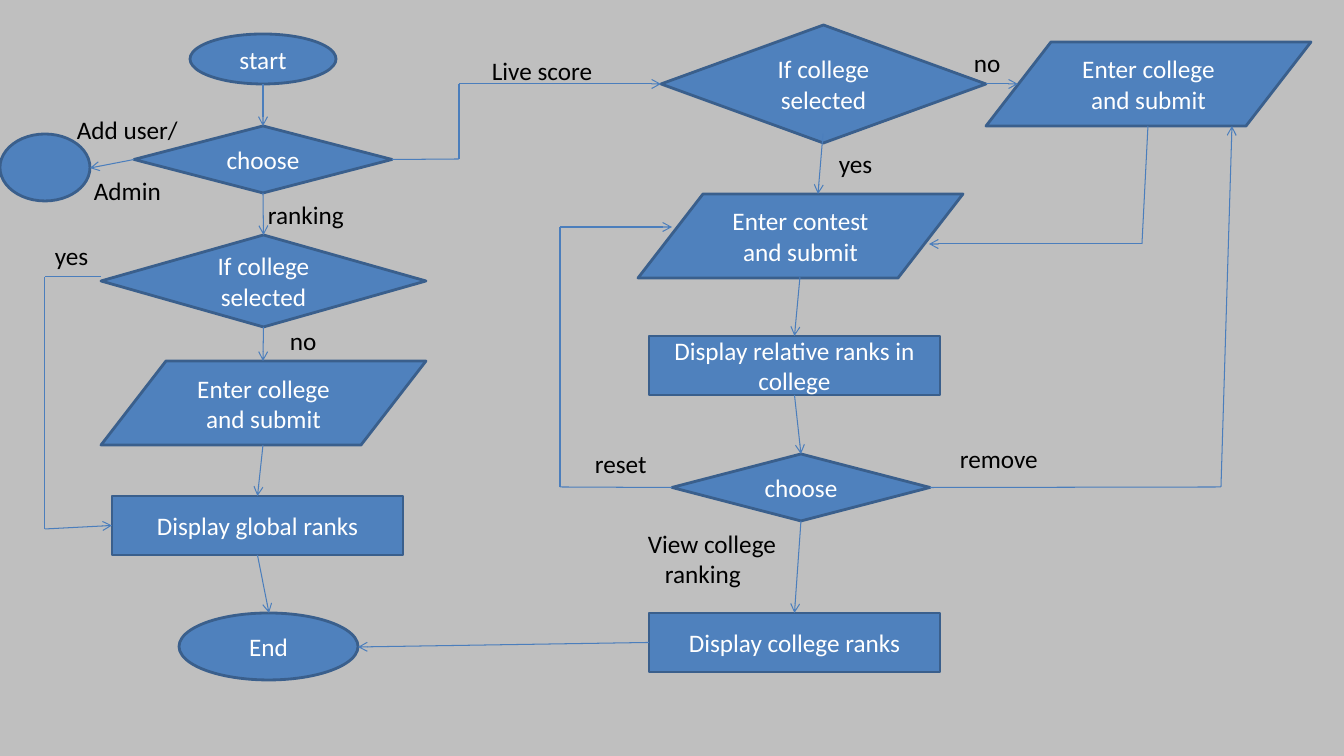
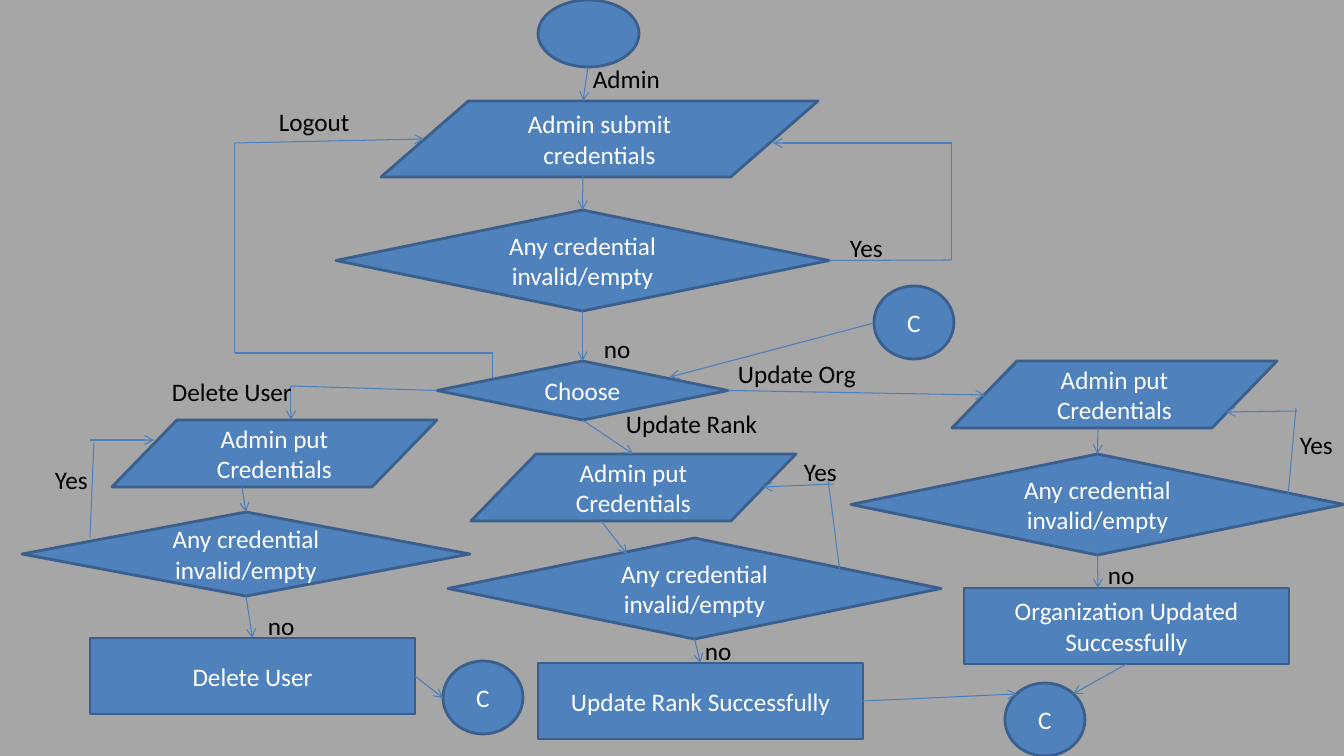
import lxml.etree
import pptx
import pptx.dml.color
import pptx.enum.shapes
import pptx.enum.text
import pptx.oxml.ns
import pptx.util

WIDE, HIGH = 1344, 756
SCALE = 12192000 / WIDE  # EMU in one px

RGB = pptx.dml.color.RGBColor
BLUE = RGB(0x4F, 0x81, 0xBD)
EDGE = RGB(0x3A, 0x5F, 0x8C)
WIRE = RGB(0x4B, 0x7E, 0xBC)
WHITE = RGB(0xFF, 0xFF, 0xFF)
BLACK = RGB(0x00, 0x00, 0x00)
PALE = RGB(0xBF, 0xBF, 0xBF)
GREY = RGB(0xA6, 0xA6, 0xA6)

KIND = pptx.enum.shapes.MSO_SHAPE
OVAL, RECT = KIND.OVAL, KIND.RECTANGLE
ASK, ENTER = KIND.FLOWCHART_DECISION, KIND.FLOWCHART_DATA
TOP, LEFT, BOTTOM, RIGHT = range(4)

FONT = {"name": "Calibri", "size": pptx.util.Pt(18)}
NODE = {"word_wrap": True,
        "vertical_anchor": pptx.enum.text.MSO_ANCHOR.MIDDLE}
LABEL = {"word_wrap": True, "margin_right": 0,
         "auto_size": pptx.enum.text.MSO_AUTO_SIZE.SHAPE_TO_FIT_TEXT}
INDENT = 17


def px(value):
    return pptx.util.Emu(round(value * SCALE))


def style(item, values):
    for name, value in values.items():
        setattr(item, name, value)


def write(part, text, color, align):
    part.text = text
    part.alignment = align
    style(part.runs[0].font, FONT)
    part.runs[0].font.color.rgb = color


def draw_node(slide, box, kind, text, x, y, wide, high):
    node = slide.shapes.add_shape(
        kind, px(box[0] + x), px(box[1] + y), px(wide), px(high))
    node.shadow.inherit = False
    node.fill.solid()
    node.fill.fore_color.rgb = BLUE
    node.line.color.rgb = EDGE
    node.line.width = pptx.util.Pt(2)
    if text:
        style(node.text_frame, NODE)
        write(node.text_frame.paragraphs[0], text, WHITE,
              pptx.enum.text.PP_ALIGN.CENTER)
    return node


def draw_line(slide, box, nodes, start, end, head):
    """Each end is a point in the box, or a node's name and side."""
    ends = [(0, 0) if isinstance(p[0], str)
            else (px(box[0] + p[0]), px(box[1] + p[1])) for p in (start, end)]
    line = slide.shapes.add_connector(
        pptx.enum.shapes.MSO_CONNECTOR.STRAIGHT, *ends[0], *ends[1])
    for spot, join in ((start, line.begin_connect), (end, line.end_connect)):
        if isinstance(spot[0], str):
            join(nodes[spot[0]], spot[1])
    line.line.color.rgb = WIRE
    line.line.width = pptx.util.Pt(0.75)
    props = line.element.spPr
    qn = pptx.oxml.ns.qn
    if head:
        lxml.etree.SubElement(
            props.find(qn("a:ln")), qn("a:tailEnd"), type="arrow")
    lxml.etree.SubElement(props, qn("a:effectLst"))


def draw_wire(slide, box, nodes, spots, head=True):
    last = len(spots) - 2
    for i, (start, end) in enumerate(zip(spots, spots[1:])):
        draw_line(slide, box, nodes, start, end, head and i == last)


def draw_label(slide, box, text, x, y, wide=90, gap=0):
    """Further lines of the text are indented, with a gap in points."""
    lines = text.split("\n")
    label = slide.shapes.add_textbox(
        px(box[0] + x), px(box[1] + y), px(wide), px(40))
    frame = label.text_frame
    style(frame, LABEL)
    for i, words in enumerate(lines):
        part = frame.add_paragraph() if i else frame.paragraphs[0]
        write(part, words, BLACK, pptx.enum.text.PP_ALIGN.LEFT)
        if i:
            part.space_before = pptx.util.Pt(gap)
            part._p.get_or_add_pPr().set("marL", str(px(INDENT)))


def draw_flow(slide, box, nodes, wires, labels, plain=(), known=None):
    made = dict(known or {})
    for name, values in nodes.items():
        made[name] = draw_node(slide, box, *values)
    for spots in wires:
        draw_wire(slide, box, made, spots)
    for spots in plain:
        draw_wire(slide, box, made, spots, head=False)
    for values in labels:
        draw_label(slide, box, *values)
    return made


# Global ranking column
def rank_flow(slide, box):
    return draw_flow(slide, box, {
        "start": (OVAL, "start", 190, 34, 146, 50),
        "admin": (OVAL, "", 0, 134, 90, 67),
        "choose": (ASK, "choose", 134, 126, 258, 67),
        "select": (ASK, "If college selected", 101, 235, 325, 92),
        "enter": (ENTER, "Enter college and submit", 101, 361, 325, 84),
        "ranks": (RECT, "Display global ranks", 112, 496, 291, 59),
        "end": (OVAL, "End", 179, 613, 179, 67),
    }, [
        [(263, 84), ("choose", TOP)],
        [("choose", LEFT), (90, 168)],
        [("choose", BOTTOM), ("select", TOP)],
        [("select", BOTTOM), (263, 361)],
        [(263, 445), ("ranks", TOP)],
        [("ranks", BOTTOM), (269, 613)],
        [(101, 277), (45, 277), (45, 529), ("ranks", LEFT)],
    ], [
        ("Add user/\nAdmin", 67, 109, 179, 22),
        ("ranking", 258, 194, 168),
        ("yes", 45, 235),
        ("no", 280, 320),
    ])


# Live score column
def score_flow(slide, box):
    return draw_flow(slide, box, {
        "select": (ASK, "If college selected", 101, 25, 325, 118),
        "enter": (ENTER, "Enter college and submit", 426, 42, 325, 84),
        "contest": (ENTER, "Enter contest and submit", 78, 194, 325, 84),
        "local": (RECT, "Display relative ranks in college",
                  89, 336, 291, 59),
        "choose": (ASK, "choose", 112, 454, 258, 67),
        "ranks": (RECT, "Display college ranks", 89, 613, 291, 59),
    }, [
        [("select", RIGHT), (458, 84)],
        [(263, 134), (258, 194)],
        [(588, 126), (582, 244), (369, 244)],
        [(240, 277), ("local", TOP)],
        [("local", BOTTOM), ("choose", TOP)],
        [("choose", BOTTOM), ("ranks", TOP)],
        [("choose", RIGHT), (661, 487), (672, 126)],
        [("choose", LEFT), (0, 487), (0, 227), (112, 227)],
    ], [
        ("no", 404, 42),
        ("yes", 269, 143),
        ("reset", 25, 443, 112),
        ("remove", 390, 438, 145),
        ("View college\nranking", 78, 523, 224),
    ])


# Admin login and menu
def login_flow(slide, box):
    return draw_flow(slide, box, {
        "start": (OVAL, "", 303, 0, 101, 67),
        "submit": (ENTER, "Admin submit credentials", 146, 101, 437, 76),
        "check": (ASK, "Any credential invalid/empty", 101, 210, 493, 101),
        "choose": (ASK, "Choose", 202, 361, 291, 59),
        "hub": (OVAL, "C", 639, 286, 80, 73),
    }, [
        [(353, 67), (348, 101)],
        [(348, 176), ("check", TOP)],
        [("check", BOTTOM), ("choose", TOP)],
        [("check", RIGHT), (717, 260), (717, 143), (538, 143)],
        [(258, 378), (258, 353), (0, 353), (0, 143), (189, 139)],
        [(639, 323), (435, 377)],
    ], [
        ("Admin", 348, 58, 179),
        ("Logout", 34, 101, 92),
        ("Yes", 605, 227, 54),
        ("no", 359, 328),
    ])


# One menu action: enter, check, finish
def action_flow(slide, box, put, check, done, text, wires, retry, yes, no):
    return draw_flow(slide, box, {
        "put": (ENTER, "Admin put Credentials", put, 0, 325, 67),
        "check": (ASK, "Any credential invalid/empty", 0, *check),
        "done": (RECT, text, *done, 325, 76),
    }, wires, [("Yes", *yes, 54), ("no", *no)], plain=[retry])


def rank_slide(slide):
    left = rank_flow(slide, (0, 0))
    right = score_flow(slide, (560, 0))
    draw_flow(slide, (0, 0), {}, [
        [("choose", RIGHT), (459, 159), (459, 84), ("select", LEFT)],
        [("ranks", LEFT), (358, 647)],
    ], [("Live score", 482, 50, 190)],
        known={**right, "choose": left["choose"]})


def admin_slide(slide):
    menu = login_flow(slide, (235, 0))
    finish = [("check", BOTTOM), ("done", TOP)]
    drop = action_flow(
        slide, (22, 420), 90, (92, 448, 84), (68, 218), "Delete User",
        [[(220, 67), ("check", TOP)], finish, [(68, 20), (132, 20)]],
        [(68, 117), (72, 23)], (23, 39), (236, 185))
    rank = action_flow(
        slide, (448, 454), 23, (84, 493, 101), (90, 209),
        "Update Rank Successfully",
        [[(153, 67), (179, 100)], finish, [(386, 30), (315, 33)]],
        [(392, 118), (380, 25)], (346, -3), (247, 176))
    org = action_flow(
        slide, (851, 361), 101, (93, 493, 101), (113, 227),
        "Organization Updated Successfully",
        [[(247, 67), ("check", TOP)], [("check", BOTTOM), (247, 227)],
         [(446, 50), (375, 51)]],
        [(437, 135), (445, 47)], (439, 63), (247, 193))
    # Links between the menu, the actions and the return points
    draw_flow(slide, (0, 0), {
        "back": (OVAL, "C", 443, 661, 80, 73),
        "home": (OVAL, "C", 1005, 683, 80, 73),
    }, [
        [("choose", LEFT), (291, 386), (291, 420)],
        [("choose", BOTTOM), (633, 454)],
        [("choose", RIGHT), (985, 395)],
        [("drop", RIGHT), (443, 698)],
        [("rank", RIGHT), (1017, 694)],
        [("org", BOTTOM), (1073, 694)],
    ], [
        ("Delete User", 162, 371, 213),
        ("Update Rank", 616, 403, 213),
        ("Update Org", 728, 353, 213),
    ], known={"choose": menu["choose"], "drop": drop["done"],
              "rank": rank["done"], "org": org["done"]})


def main():
    deck = pptx.Presentation()
    style(deck, {"slide_width": px(WIDE), "slide_height": px(HIGH)})
    for build, color in ((rank_slide, PALE), (admin_slide, GREY)):
        slide = deck.slides.add_slide(deck.slide_layouts[6])
        slide.background.fill.solid()
        slide.background.fill.fore_color.rgb = color
        build(slide)
    deck.save("out.pptx")


if __name__ == "__main__":
    main()
